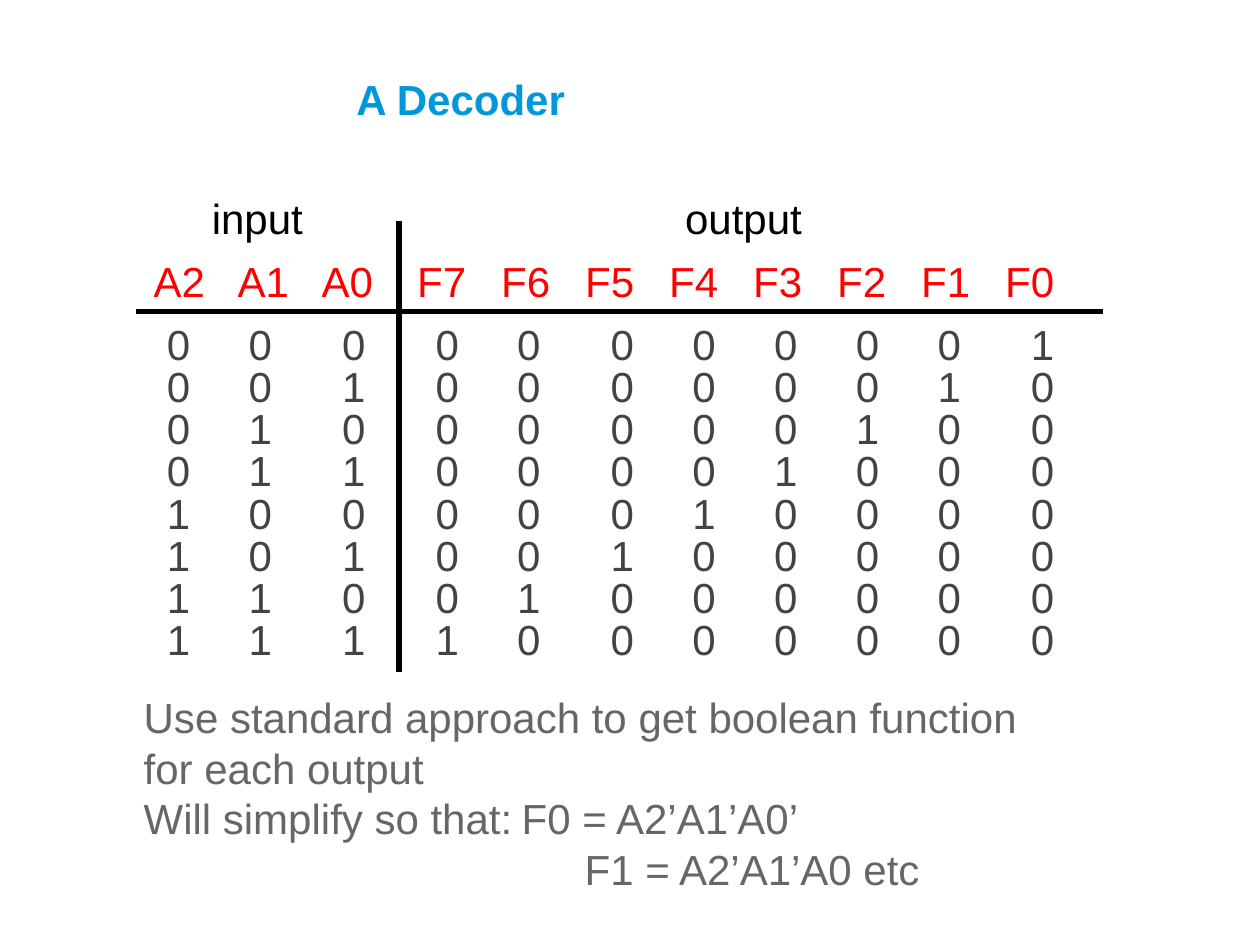
from itertools import accumulate
from lxml import etree
from pptx import Presentation, util as u
from pptx.dml.color import RGBColor
from pptx.enum import shapes, text
from pptx.oxml.ns import qn

BLUE = RGBColor(0x00, 0x98, 0xDB)
RED = RGBColor(0xFF, 0x00, 0x00)
BLACK = RGBColor(0x00, 0x00, 0x00)
DARK = RGBColor(0x43, 0x43, 0x43)
GREY = RGBColor(0x66, 0x66, 0x66)

BITS = 3
OUTS = 2 ** BITS
HEADS = ([f"A{i}" for i in reversed(range(BITS))]
         + [f"F{i}" for i in reversed(range(OUTS))])

# Table grid, in points
LEFT, TOP = 87.84, 115.2
HEAD, ROW = 36, 24
WIDTHS = [48, 48, 54.6] + [48] * OUTS
NEAR, FAR = 46.7, 53.4
STEPS = [NEAR, FAR, FAR, NEAR, FAR, NEAR, NEAR, NEAR, NEAR, FAR]
EDGES = list(accumulate(WIDTHS[:-1], initial=LEFT))
DIGITS = list(accumulate(STEPS, initial=95.4))
INSETS = [digit - edge for digit, edge in zip(DIGITS, EDGES)]


class Deck:
    def __init__(self, font="Arial", size=24):
        self.font, self.size = font, size
        self.prs = Presentation()
        self.prs.slide_width, self.prs.slide_height = u.Pt(720), u.Pt(540)
        self.slide = self.prs.slides.add_slide(self.prs.slide_layouts[1])

    def run(self, para, words, color, bold=False):
        run = para.add_run()
        run.text = words
        font = run.font
        font.name, font.size, font.bold = self.font, u.Pt(self.size), bold
        font.color.rgb = color

    def place(self, shape, left, top, width, height, anchor):
        """Move a placeholder and give its frame fixed, unscaled text."""
        shape.left, shape.top = u.Pt(left), u.Pt(top)
        shape.width, shape.height = u.Pt(width), u.Pt(height)
        frame = shape.text_frame
        frame.auto_size = text.MSO_AUTO_SIZE.NONE
        frame.word_wrap = True
        frame.vertical_anchor = anchor
        return frame

    def title(self, words, *box):
        frame = self.place(self.slide.shapes.title, *box,
                           text.MSO_ANCHOR.BOTTOM)
        para = frame.paragraphs[0]
        para.alignment = text.PP_ALIGN.LEFT
        self.run(para, words, BLUE, True)

    def body(self, lines, *box):
        """Fill the body with (words, left margin, first indent, tab) lines."""
        frame = self.place(self.slide.placeholders[1], *box,
                           text.MSO_ANCHOR.TOP)
        frame.margin_top = u.Pt(7.2)
        for i, (words, margin, indent, tab) in enumerate(lines):
            para = frame.add_paragraph() if i else frame.paragraphs[0]
            para.line_spacing, para.space_before = u.Pt(28.8), u.Pt(0)
            props = para._p.get_or_add_pPr()
            props.set("marL", str(u.Pt(margin)))
            props.set("indent", str(u.Pt(indent)))
            etree.SubElement(props, qn("a:buNone"))
            if tab:
                stops = etree.SubElement(props, qn("a:tabLst"))
                etree.SubElement(stops, qn("a:tab"),
                                 pos=str(u.Pt(tab)), algn="l")
            self.run(para, words, GREY)

    def grid(self, left, top, widths, heights):
        frame = self.slide.shapes.add_table(
            len(heights), len(widths), u.Pt(left), u.Pt(top),
            u.Pt(sum(widths)), u.Pt(sum(heights)))
        table = frame.table
        table.first_row = table.horz_banding = False
        for col, width in zip(table.columns, widths):
            col.width = u.Pt(width)
        for row, height in zip(table.rows, heights):
            row.height = u.Pt(height)
        for cell in table.iter_cells():
            cell.fill.background()
            cell.margin_left = cell.margin_right = u.Pt(0)
            cell.margin_top = cell.margin_bottom = u.Pt(0)
            para = cell.text_frame.paragraphs[0]
            para.line_spacing = u.Pt(ROW)
            para.font.size = u.Pt(self.size)
        return table

    def cell(self, cell, words, color, inset=0):
        cell.margin_left = u.Pt(inset)
        self.run(cell.text_frame.paragraphs[0], words, color)

    def line(self, x1, y1, x2, y2):
        line = self.slide.shapes.add_connector(
            shapes.MSO_CONNECTOR.STRAIGHT,
            u.Pt(x1), u.Pt(y1), u.Pt(x2), u.Pt(y2))
        line.line.color.rgb, line.line.width = BLACK, u.Pt(3)
        etree.SubElement(line._element.spPr, qn("a:effectLst"))


def truth(deck):
    """Draw the truth table: each input sets the one output it names."""
    table = deck.grid(LEFT, TOP, WIDTHS, [HEAD] * 2 + [ROW] * OUTS)
    groups = [("input", 0, BITS - 1, 33.2),
              ("output", BITS, len(HEADS) - 1, 153.1)]
    for words, first, last, inset in groups:
        table.cell(0, first).merge(table.cell(0, last))
        deck.cell(table.cell(0, first), words, BLACK, inset)
    for col, head in enumerate(HEADS):
        deck.cell(table.cell(1, col), head, RED)
    for num in range(OUTS):
        digits = f"{num:0{BITS}b}" + f"{1 << num:0{OUTS}b}"
        for col, digit in enumerate(digits):
            deck.cell(table.cell(num + 2, col), digit, DARK, INSETS[col])
    deck.line(78, 178, 630, 178)
    deck.line(228, 126, 228, 384)


def main():
    deck = Deck()
    deck.title("A Decoder", 196.5, 36.7, 407.5, 37.5)
    truth(deck)
    deck.body([
        ("Use standard approach to get boolean function for each output",
         0, 0, 0),
        ("Will simplify so that:\tF0 = A2’A1’A0’", 0, 0, 288),
        ("F1 = A2’A1’A0 etc", 216, 36, 0),
    ], 74.9, 388.2, 525.6, 132.4)
    deck.prs.save("out.pptx")


if __name__ == "__main__":
    main()
